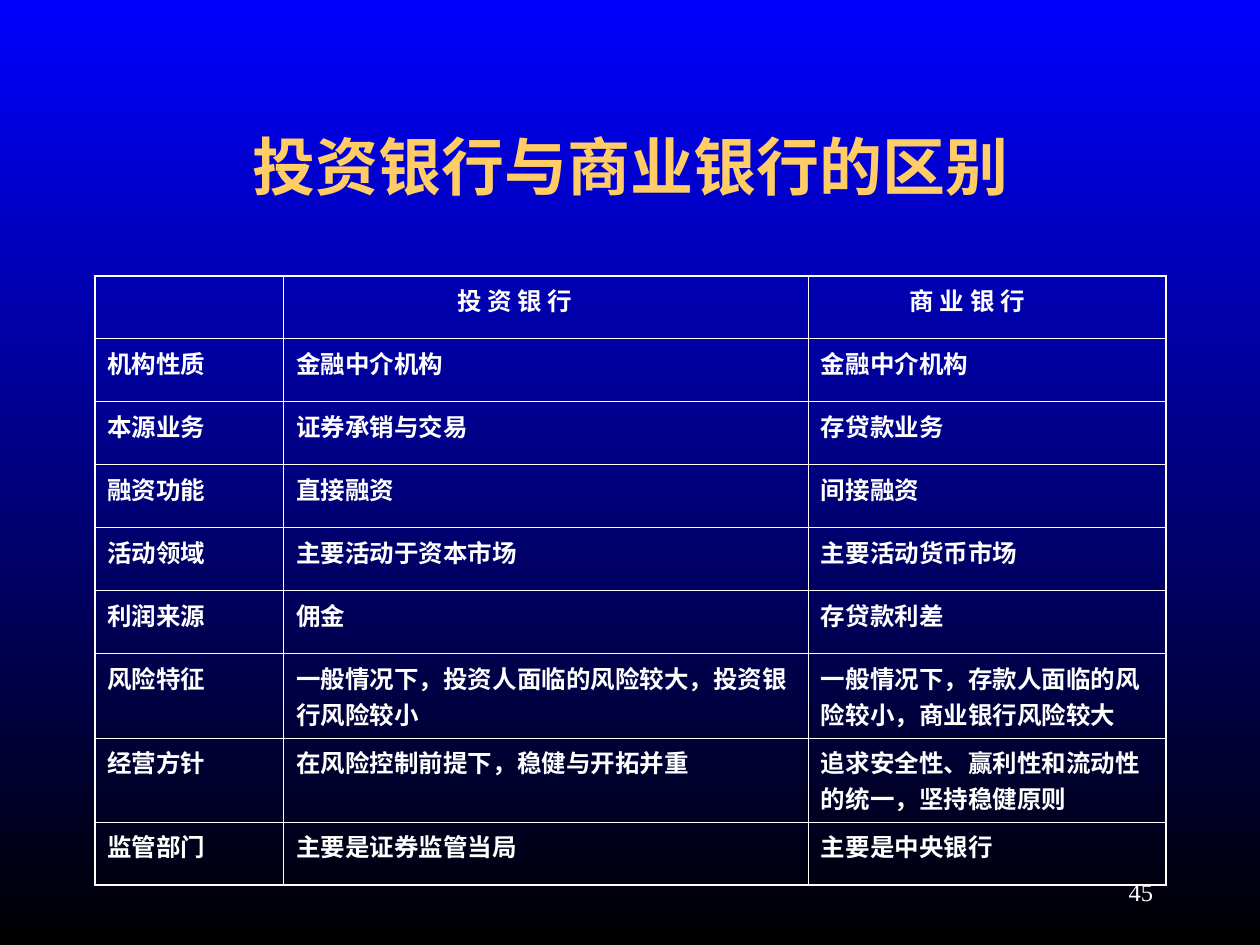
from lxml import etree
from pptx import Presentation
from pptx import util as u
from pptx.dml.color import RGBColor
from pptx.enum import text
from pptx.oxml import ns

BLUE = RGBColor(0x00, 0x00, 0xFF)
BLACK = RGBColor(0x00, 0x00, 0x00)
WHITE = RGBColor(0xFF, 0xFF, 0xFF)
GOLD = RGBColor(0xFF, 0xCC, 0x66)

LEFT, WIDTH = 1.91, 21.59
COLUMN_WIDTHS = [3.81, 10.58, 7.2]
ROW_HEIGHT, TALL_ROW_HEIGHT = 1.27, 1.45
TALL_ROWS = {"风险特征", "经营方针"}
CELL_MARGIN = 0.25
HEADER_INDENTS = [0, 3.25, 1.79]
THIN, THICK = 0.45, 1.08

COMPARISON = [
    ("", "投 资 银 行", "商 业 银 行"),
    ("机构性质", "金融中介机构", "金融中介机构"),
    ("本源业务", "证券承销与交易", "存贷款业务"),
    ("融资功能", "直接融资", "间接融资"),
    ("活动领域", "主要活动于资本市场", "主要活动货币市场"),
    ("利润来源", "佣金", "存贷款利差"),
    ("风险特征", "一般情况下，投资人面临的风险较大，投资银行风险较小",
     "一般情况下，存款人面临的风险较小，商业银行风险较大"),
    ("经营方针", "在风险控制前提下，稳健与开拓并重",
     "追求安全性、赢利性和流动性的统一，坚持稳健原则"),
    ("监管部门", "主要是证券监管当局", "主要是中央银行"),
]


class SlideBuilder:
    """Holds the text styles and the page being built."""

    title_font = {"name": "Arial", "size": u.Pt(36), "bold": True}
    cell_font = {"name": "Times New Roman", "size": u.Pt(14), "bold": True}
    number_font = {"name": "Times New Roman", "size": u.Pt(14), "bold": False}

    def __init__(self, page):
        self.page = page

    def background(self, top, bottom):
        fill = self.page.background.fill
        fill.gradient()
        fill.gradient_angle = 270
        for stop, color, position in zip(fill.gradient_stops, (top, bottom), (0, 1)):
            stop.color.rgb = color
            stop.position = position

    def add_words(self, frame, words, font, color, **para_format):
        para = frame.paragraphs[0]
        for name, value in para_format.items():
            setattr(para, name, value)
        span = para.add_run()
        span.text = words
        for name, value in font.items():
            setattr(span.font, name, value)
        span.font.color.rgb = color

    def place(self, box, left, top, width, height):
        lengths = {"left": left, "top": top, "width": width, "height": height}
        for name, value in lengths.items():
            setattr(box, name, u.Cm(value))
        frame = box.text_frame
        frame.word_wrap = True
        frame.auto_size = text.MSO_AUTO_SIZE.NONE
        frame.vertical_anchor = text.MSO_ANCHOR.MIDDLE
        return frame

    def title(self, words, *area):
        frame = self.place(self.page.shapes.title, *area)
        self.add_words(frame, words, self.title_font, GOLD,
                       alignment=text.PP_ALIGN.CENTER)

    def page_number(self, words, *area):
        box = self.page.shapes.add_textbox(0, 0, 0, 0)
        self.add_words(self.place(box, *area), words, self.number_font, WHITE,
                       alignment=text.PP_ALIGN.RIGHT)

    def borders(self, cell, widths):
        properties = cell._tc.get_or_add_tcPr()
        for side, points in widths.items():
            line = etree.SubElement(properties, ns.qn(f"a:ln{side}"), w=str(u.Pt(points)))
            fill = etree.SubElement(line, ns.qn("a:solidFill"))
            etree.SubElement(fill, ns.qn("a:srgbClr"), val=str(WHITE))

    def table(self, rows, left, top):
        heights = [TALL_ROW_HEIGHT if row[0] in TALL_ROWS else ROW_HEIGHT for row in rows]
        table = self.page.shapes.add_table(
            len(rows), len(COLUMN_WIDTHS), u.Cm(left), u.Cm(top),
            u.Cm(sum(COLUMN_WIDTHS)), u.Cm(sum(heights))).table
        table.first_row = table.horz_banding = False
        for column, width in zip(table.columns, COLUMN_WIDTHS):
            column.width = u.Cm(width)
        last_row, last_column = len(rows) - 1, len(COLUMN_WIDTHS) - 1
        for r, (row, height) in enumerate(zip(rows, heights)):
            table.rows[r].height = u.Cm(height)
            for c, words in enumerate(row):
                cell = table.cell(r, c)
                # Thick outer frame, thin inner grid
                self.borders(cell, {
                    "L": THICK if c == 0 else THIN,
                    "R": THICK if c == last_column else THIN,
                    "T": THICK if r == 0 else THIN,
                    "B": THICK if r == last_row else THIN,
                })
                cell.fill.background()
                indent = HEADER_INDENTS[c] if r == 0 else 0
                cell.margin_left = u.Cm(CELL_MARGIN + indent)
                if words:
                    self.add_words(cell.text_frame, words, self.cell_font, WHITE,
                                   space_before=u.Pt(3.5))


def main():
    deck = Presentation()
    deck.slide_width, deck.slide_height = u.Cm(25.4), u.Cm(19.05)
    builder = SlideBuilder(deck.slides.add_slide(deck.slide_layouts[5]))

    # Background and heading
    builder.background(BLUE, BLACK)
    builder.title("投资银行与商业银行的区别", LEFT, 1.75, WIDTH, 3.18)

    # Comparison of the two kinds of bank
    builder.table(COMPARISON, LEFT, 5.56)

    # Page number
    builder.page_number("45", 18.21, 17.35, 5.29, 1.27)

    deck.save("out.pptx")


if __name__ == "__main__":
    main()
